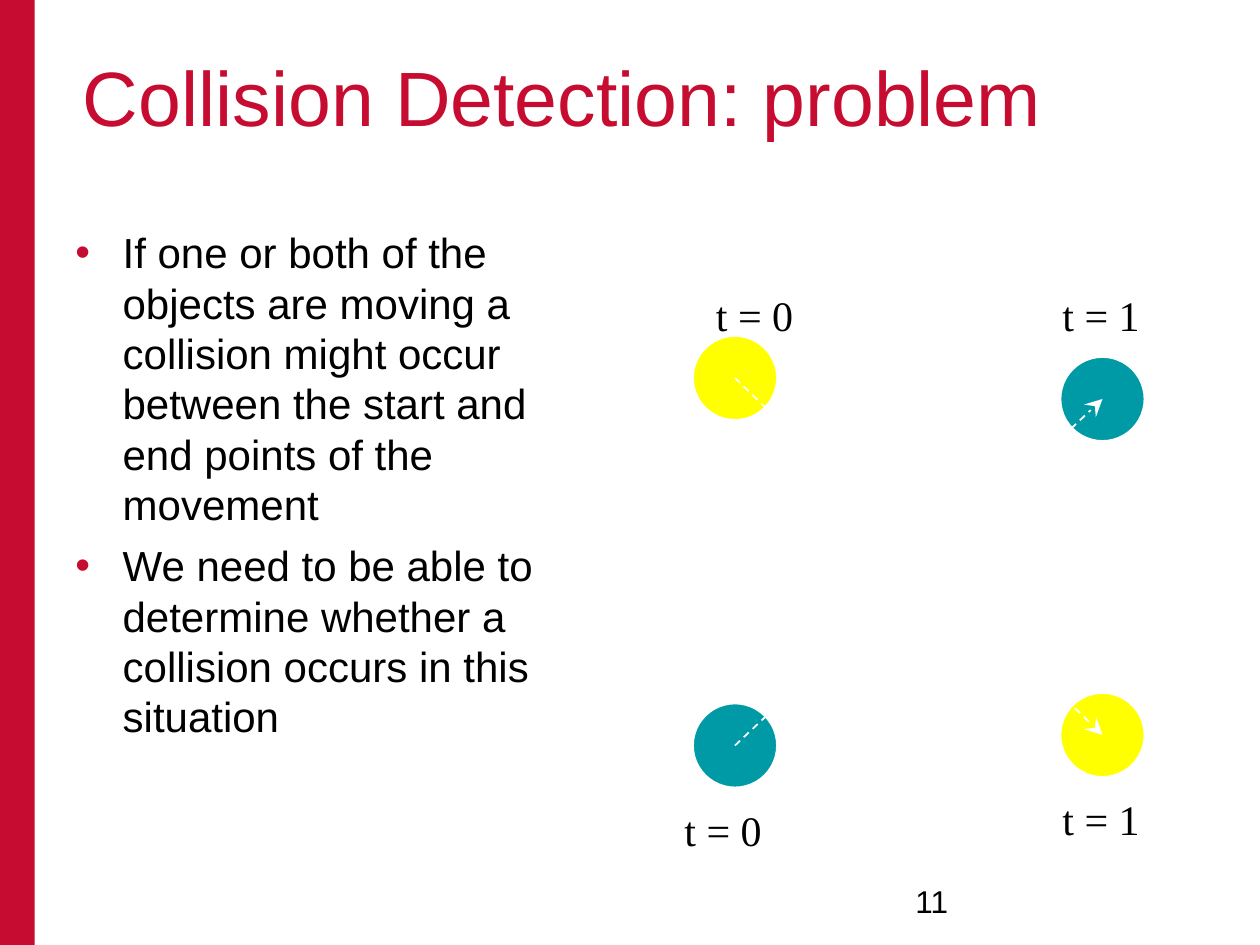
from dataclasses import dataclass
from typing import NamedTuple

from lxml.etree import SubElement
from pptx import Presentation
from pptx.dml.color import RGBColor as RGB
from pptx.enum.dml import MSO_LINE as Dash
from pptx.enum.shapes import MSO_CONNECTOR as Link, MSO_SHAPE as Kind
from pptx.enum.text import MSO_ANCHOR as Anchor, MSO_AUTO_SIZE as Fit, PP_ALIGN as Align
from pptx.oxml.ns import qn
from pptx.util import Emu, Pt

PX = 914400 // 120  # 120 px to the inch
SIZE = 80  # ball diameter


@dataclass(frozen=True)
class Theme:
    red: str = "C60C30"
    black: str = "000000"
    white: str = "FFFFFF"
    yellow: str = "FFFF00"
    teal: str = "009AA6"
    sans: str = "Arial"
    serif: str = "Times New Roman"
    head: int = 44
    body: int = 24
    foot: int = 18


class Box(NamedTuple):
    x: int
    y: int
    w: int
    h: int


class Spot(NamedTuple):
    x: int
    y: int


class Move(NamedTuple):
    """A ball's colour and its centre at t = 0 and at t = 1."""
    color: str
    start: Spot
    end: Spot


class Label(NamedTuple):
    text: str
    spot: Spot


THEME = Theme()
MOVES = [
    Move(THEME.yellow, Spot(700, 360), Spot(1050, 700)),
    Move(THEME.teal, Spot(700, 710), Spot(1050, 380)),
]
LABELS = [
    Label("t = 0", Spot(640, 760)),
    Label("t = 0", Spot(670, 270)),
    Label("t = 1", Spot(1000, 750)),
    Label("t = 1", Spot(1000, 270)),
]
POINTS = [
    "If one or both of the objects are moving a collision might occur "
    "between the start and end points of the movement",
    "We need to be able to determine whether a collision occurs in this situation",
]


def px(*vals: int) -> list[Emu]:
    return [Emu(val * PX) for val in vals]


def style(item, form: dict) -> None:
    for name, val in form.items():
        setattr(item, name, val)


def ink(para, face: str, size: int, color: str) -> None:
    style(para.font, {"name": face, "size": Pt(size), "bold": False})
    para.font.color.rgb = RGB.from_string(color)


def write(slide, box: Box, text: str, face: str, size: int) -> None:
    frame = slide.shapes.add_textbox(*px(*box)).text_frame
    style(frame, {"word_wrap": False, "auto_size": Fit.NONE})
    frame.text = text
    para = frame.paragraphs[0]
    para.alignment = Align.LEFT
    ink(para, face, size, THEME.black)


def add_title(slide, box: Box, text: str) -> None:
    shape = slide.shapes.title
    style(shape, dict(zip(("left", "top", "width", "height"), px(*box))))
    frame = shape.text_frame
    frame.text = text
    style(frame, {"vertical_anchor": Anchor.TOP, "word_wrap": True, "auto_size": Fit.NONE})
    para = frame.paragraphs[0]
    para.alignment = Align.LEFT
    ink(para, THEME.sans, THEME.head, THEME.red)


def add_list(slide, box: Box, points: list[str]) -> None:
    frame = slide.shapes.add_textbox(*px(*box)).text_frame
    frame.word_wrap = True
    frame.text = "\n".join(points)
    for num, para in enumerate(frame.paragraphs):
        props = para._p.get_or_add_pPr()
        props.set("marL", str(45 * PX))
        props.set("indent", str(-45 * PX))
        SubElement(SubElement(props, qn("a:buClr")), qn("a:srgbClr"), val=THEME.red)
        SubElement(props, qn("a:buFont"), typeface=THEME.sans)
        SubElement(props, qn("a:buChar"), char="•")
        if num:
            para.space_before = Pt(6)
        ink(para, THEME.sans, THEME.body, THEME.black)


def add_shape(slide, kind: Kind, box: Box, color: str):
    shape = slide.shapes.add_shape(kind, *px(*box))
    shape.shadow.inherit = False
    shape.fill.solid()
    shape.fill.fore_color.rgb = RGB.from_string(color)
    shape.line.fill.background()
    return shape


def add_ball(slide, spot: Spot, color: str) -> None:
    box = Box(spot.x - SIZE // 2, spot.y - SIZE // 2, SIZE, SIZE)
    line = add_shape(slide, Kind.OVAL, box, color).line
    line.color.rgb = RGB.from_string(THEME.white)
    line.width = Pt(1)


def add_arrow(slide, start: Spot, end: Spot) -> None:
    link = slide.shapes.add_connector(Link.STRAIGHT, *px(*start, *end))
    link.line.color.rgb = RGB.from_string(THEME.white)
    style(link.line, {"width": Pt(1), "dash_style": Dash.DASH})
    SubElement(link.line._get_or_add_ln(), qn("a:tailEnd"), type="stealth", w="lg", len="lg")
    SubElement(link._element.spPr, qn("a:effectLst"))


def main() -> None:
    deck = Presentation()
    style(deck, dict(zip(("slide_width", "slide_height"), px(1200, 900))))
    slide = deck.slides.add_slide(deck.slide_layouts[5])
    add_shape(slide, Kind.RECTANGLE, Box(0, 0, 33, 900), THEME.red)
    add_title(slide, Box(67, 41, 1073, 193), "Collision Detection: problem")
    add_list(slide, Box(60, 210, 529, 594), POINTS)
    write(slide, Box(860, 834, 280, 48), "11", THEME.sans, THEME.foot)
    for move in MOVES:
        for spot in (move.start, move.end):
            add_ball(slide, spot, move.color)
    for move in MOVES:
        add_arrow(slide, move.start, move.end)
    for text, spot in LABELS:
        write(slide, Box(*spot, 100, 60), text, THEME.serif, THEME.body)
    deck.save("out.pptx")


if __name__ == "__main__":
    main()
